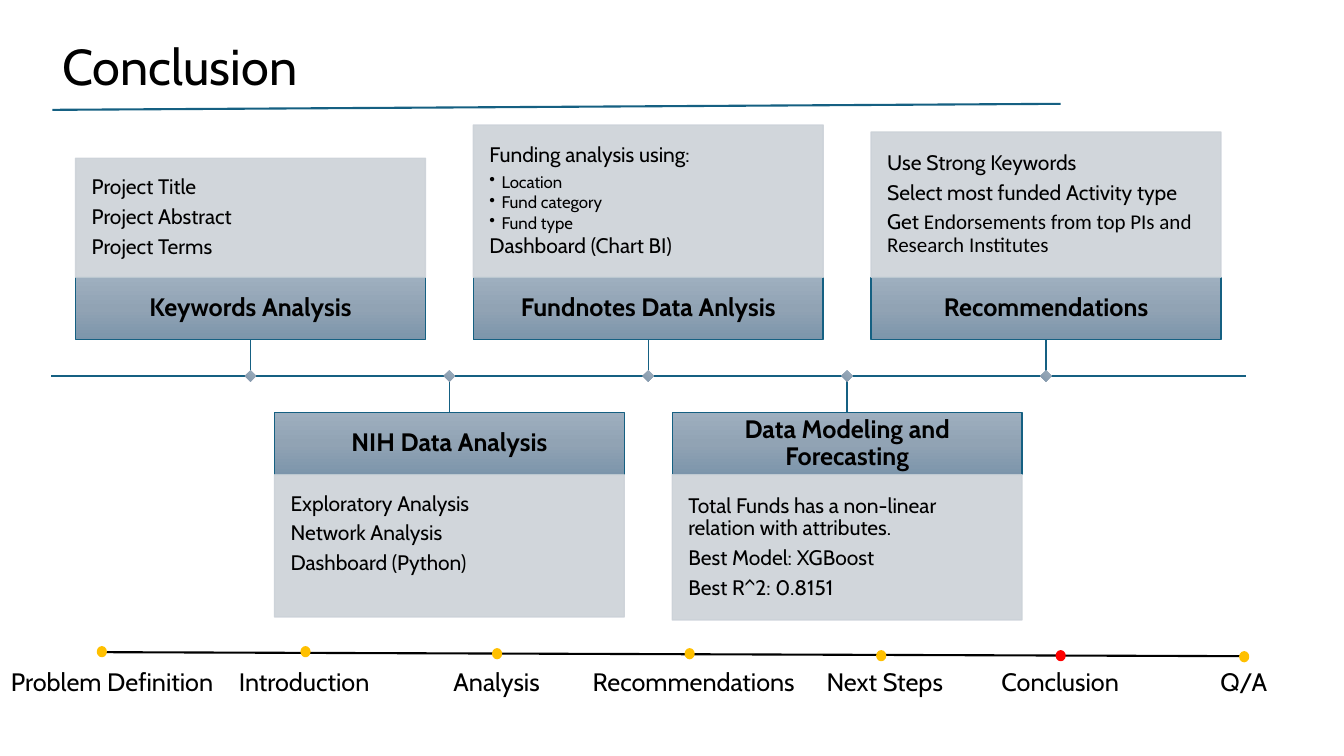
from copy import deepcopy
from dataclasses import dataclass

from lxml import etree
from pptx import Presentation
from pptx import util as u
from pptx.dml.color import RGBColor
from pptx.enum import shapes, text
from pptx.oxml import ns

Inches, Pt = u.Inches, u.Pt


@dataclass(frozen=True)
class Theme:
    font: str = "Cabin"
    alternate_font: str = "Calibri"
    ink: str = "000000"
    accent: str = "156082"
    panel: str = "CCD2D8"
    gradient: tuple = ((0, "9EAFBF"), (0.5, "91A3B4"), (1, "7C95AB"))
    done: str = "FFC000"
    current: str = "FF0000"
    title_size: int = 36
    heading_size: int = 18
    body_size: int = 15
    bullet_size: int = 12


THEME = Theme()
LEFT, CENTER = text.PP_ALIGN.LEFT, text.PP_ALIGN.CENTER

CARD_LEFT, CARD_STEP, CARD_WIDTH = 0.75, 1.9725, 3.47
HEADER_HEIGHT, AXIS_Y, STEM = 0.62, 3.73, 0.36
MARKER, DOT_WIDTH, DOT_HEIGHT = 0.08, 0.08, 0.09

BULLET = dict(size=THEME.bullet_size, after=1.8, bullet=True)
CARDS = [
    ("Keywords Analysis", 1.18, 0.16,
     [("Project Title", {}), ("Project Abstract", {}), ("Project Terms", {})]),
    ("NIH Data Analysis", 1.41, 0.39,
     [("Exploratory Analysis", {}), ("Network Analysis", {}), ("Dashboard (Python)", {})]),
    ("Fundnotes Data Anlysis", 1.51, 0.16,
     [("Funding analysis using:", {}), ("Location", BULLET), ("Fund category", BULLET),
      ("Fund type", BULLET), ("Dashboard (Chart BI)", {})]),
    ("Data Modeling and Forecasting", 1.44, 0.16,
     [("Total Funds has a non-linear relation with attributes.", {}),
      ("Best Model: XGBoost", {}), ("Best R^2: 0.8151", {})]),
    ("Recommendations", 1.44, 0.16,
     [("Use Strong Keywords", {}), ("Select most funded Activity type", {}), ("Get ", {}),
      ("Endorsements from top PIs and Research Institutes",
       dict(font=THEME.alternate_font, join=True))]),
]

STEPS = [
    ("Problem Definition", 0.97, 6.42, 0.01, 2.25, LEFT),
    ("Introduction", 2.99, 6.42, 2.27, 1.59, LEFT),
    ("Analysis", 4.89, 6.44, 4.13, 1.59, CENTER),
    ("Recommendations", 6.8, 6.44, 5.69, 2.38, CENTER),
    ("Next Steps", 8.7, 6.46, 7.98, 1.59, CENTER),
    ("Conclusion", 10.48, 6.46, 9.72, 1.59, CENTER),
    ("Q/A", 12.3, 6.47, 11.54, 1.59, CENTER),
]
CURRENT_STEP = "Conclusion"


def rgb(value):
    return RGBColor.from_string(value)


def write(frame, content, *, size=THEME.body_size, font=THEME.font, bold=False,
          align=LEFT, after=0, spacing=1.0, bullet=False, join=False):
    paragraph = frame.paragraphs[-1]
    if paragraph.runs and not join:
        paragraph = frame.add_paragraph()
    run = paragraph.add_run()
    run.text = content
    run.font.size, run.font.name, run.font.bold = Pt(size), font, bold
    run.font.color.rgb = rgb(THEME.ink)
    paragraph.alignment = align
    paragraph.space_before, paragraph.space_after = Pt(0), Pt(after)
    paragraph.line_spacing = spacing
    if bullet:
        paragraph.level = 1
        properties = paragraph._p.get_or_add_pPr()
        properties.set("marL", str(Inches(0.12)))
        properties.set("indent", str(Inches(-0.12)))
        etree.SubElement(properties, ns.qn("a:buChar"), char="•")


def set_frame(frame, anchor, horizontal=0.1, top=0.05, bottom=0.05):
    frame.word_wrap = True
    frame.vertical_anchor = anchor
    frame.margin_left = frame.margin_right = Inches(horizontal)
    frame.margin_top, frame.margin_bottom = Inches(top), Inches(bottom)


def add_line(slide, start, end, color, width):
    line = slide.shapes.add_connector(
        shapes.MSO_CONNECTOR.STRAIGHT, *map(Inches, start + end))
    line.line.color.rgb = rgb(color)
    line.line.width = Pt(width)
    etree.SubElement(line._element.spPr, ns.qn("a:effectLst"))


def add_block(slide, kind, left, top, width, height, fill=None, line=None, line_width=1):
    shape = slide.shapes.add_shape(kind, *map(Inches, (left, top, width, height)))
    shape.shadow.inherit = False
    if fill:
        shape.fill.solid()
        shape.fill.fore_color.rgb = rgb(fill)
    else:
        fill_gradient(shape)
    if line:
        shape.line.color.rgb = rgb(line)
        shape.line.width = Pt(line_width)
    else:
        shape.line.fill.background()
    return shape


def fill_gradient(shape):
    shape.fill.gradient()
    shape.fill.gradient_angle = 270
    stop_list = shape._element.spPr.find(".//" + ns.qn("a:gsLst"))
    stop_list.insert(1, deepcopy(stop_list[0]))
    for stop, (position, color) in zip(shape.fill.gradient_stops, THEME.gradient):
        stop.position = position
        stop.color.rgb = rgb(color)


def set_opacity(shape, percent):
    for color in shape._element.spPr.iter(ns.qn("a:srgbClr")):
        etree.SubElement(color, ns.qn("a:alpha"), val=str(percent * 1000))


def add_card(slide, index, heading, body_height, bottom_inset, lines):
    left = CARD_LEFT + index * CARD_STEP
    middle = left + CARD_WIDTH / 2
    above = index % 2 == 0
    if above:
        header_top = AXIS_Y - STEM - HEADER_HEIGHT
        body_top, stem_end = header_top - body_height, AXIS_Y - STEM
    else:
        header_top = stem_end = AXIS_Y + STEM
        body_top = header_top + HEADER_HEIGHT

    rectangle = shapes.MSO_SHAPE.RECTANGLE
    header = add_block(slide, rectangle, left, header_top, CARD_WIDTH, HEADER_HEIGHT,
                       line=THEME.accent)
    set_frame(header.text_frame, text.MSO_ANCHOR.MIDDLE, 0.1, 0.1, 0.1)
    write(header.text_frame, heading, size=THEME.heading_size, bold=True,
          align=CENTER, spacing=0.9)

    body = add_block(slide, rectangle, left, body_top, CARD_WIDTH, body_height,
                     THEME.panel, THEME.panel)
    set_opacity(body, 90)
    set_frame(body.text_frame, text.MSO_ANCHOR.MIDDLE, 0.16, 0.16, bottom_inset)
    for content, style in lines:
        write(body.text_frame, content, **{"after": 5, "spacing": 0.9, **style})

    add_line(slide, (middle, stem_end), (middle, AXIS_Y), THEME.accent, 1)
    marker = add_block(slide, rectangle, middle - MARKER / 2, AXIS_Y - MARKER / 2,
                       MARKER, MARKER)
    marker.rotation = 45


def add_step(slide, label, dot_left, dot_top, label_left, label_width, align):
    color = THEME.current if label == CURRENT_STEP else THEME.done
    add_block(slide, shapes.MSO_SHAPE.OVAL, dot_left, dot_top, DOT_WIDTH, DOT_HEIGHT,
              color, color, 1.5)
    box = slide.shapes.add_textbox(*map(Inches, (label_left, 6.56, label_width, 0.4)))
    set_frame(box.text_frame, text.MSO_ANCHOR.TOP)
    write(box.text_frame, label, size=THEME.heading_size, align=align)


def add_title(slide, content):
    title = slide.shapes.title
    title.left, title.top, title.width, title.height = map(Inches, (0.52, 0.3, 9.98, 0.71))
    set_frame(title.text_frame, text.MSO_ANCHOR.TOP)
    title.text_frame.auto_size = text.MSO_AUTO_SIZE.NONE
    write(title.text_frame, content, size=THEME.title_size)
    add_line(slide, (0.52, 1.09), (10.52, 1.03), THEME.accent, 1.5)


def main():
    presentation = Presentation()
    presentation.slide_width, presentation.slide_height = Inches(13.33), Inches(7.5)
    slide = presentation.slides.add_slide(presentation.slide_layouts[5])
    add_title(slide, "Conclusion")
    add_line(slide, (0.97, 6.47), (12.37, 6.51), THEME.ink, 1.5)
    for step in STEPS:
        add_step(slide, *step)
    add_line(slide, (0.51, AXIS_Y), (12.36, AXIS_Y), THEME.accent, 1)
    for index, card in enumerate(CARDS):
        add_card(slide, index, *card)
    presentation.save("out.pptx")


if __name__ == "__main__":
    main()
